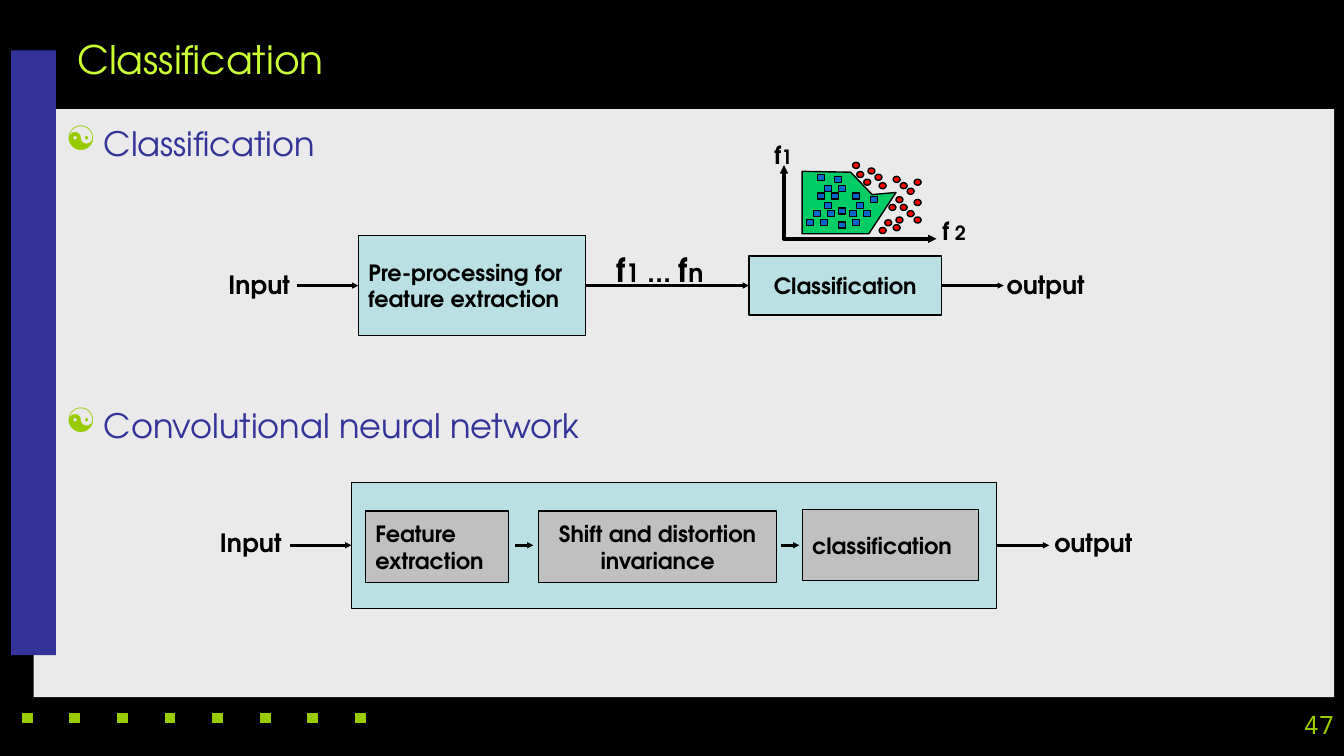
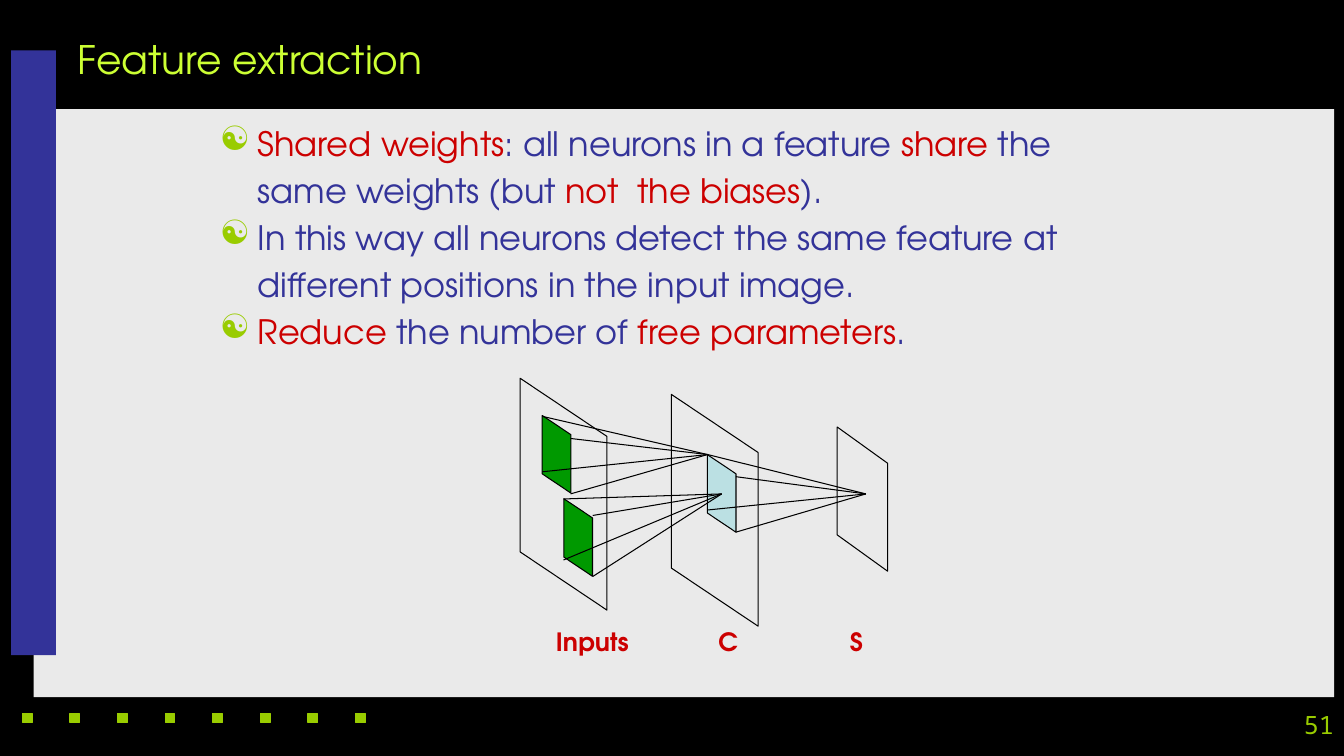
from lxml.etree import SubElement
from pptx import Presentation
from pptx.dml.color import RGBColor
from pptx.enum.shapes import MSO_CONNECTOR, MSO_SHAPE
from pptx.enum.text import MSO_ANCHOR, PP_ALIGN
from pptx.oxml.ns import qn
from pptx.util import Pt

FONT = "TeX Gyre Adventor"
BLACK, PANEL, INDIGO, LIME, YELLOW = "000000", "EAEAEA", "333399", "99CC00", "CCFF33"
RED, PALE, GREY, GREEN = "CC0000", "BBE0E3", "C0C0C0", "009900"
BODY = {"size": Pt(24), "color": INDIGO}
LABEL = {"size": Pt(18), "bold": True}
BOX = {"size": Pt(16), "bold": True}
HANG = 27

SQUARES = [
    (581, 150.5), (576, 157), (586, 157), (591, 150.5), (599, 158.5), (589, 144.5), (589, 132.5),
    (584, 138), (594, 138), (599, 132.5), (584, 124.5), (596, 126), (617, 150.5), (609, 157),
    (607, 150.5), (612, 144.5), (599, 148.5), (609, 138), (622, 140.5),
]
CIRCLES = [
    (632, 157), (638, 160.5), (635, 146), (653, 142.5), (640, 140.5), (620, 120), (625, 124.5),
    (628, 130.5), (617, 128), (628, 162.5), (638, 126), (643, 130.5), (648, 134.5), (612, 122.5),
    (653, 128), (643, 146), (648, 150.5), (653, 155), (640, 155), (609, 116),
]


def rgb(value):
    return RGBColor.from_string(value)


def write(p, text, color=BLACK, **fmt):
    r = p.add_run()
    r.text = text
    r.font.color.rgb = rgb(color)
    for name, value in ({"name": FONT} | fmt).items():
        setattr(r.font, name, value)


def paint(sp, fill=None, line=None, width=0.75):
    sp.shadow.inherit = False
    if fill:
        sp.fill.solid()
        sp.fill.fore_color.rgb = rgb(fill)
    else:
        sp.fill.background()
    if line:
        sp.line.color.rgb = rgb(line)
        sp.line.width = Pt(width)
    else:
        sp.line.fill.background()
    return sp


def shape(s, kind, x, y, w, h, fill=None, line=None, width=0.75):
    sp = s.shapes.add_shape(kind, Pt(x), Pt(y), Pt(w), Pt(h))
    return paint(sp, fill, line, width)


def box(s, x, y, w, h, fill, text="", align=PP_ALIGN.LEFT, width=0.75):
    sp = shape(s, MSO_SHAPE.RECTANGLE, x, y, w, h, fill, BLACK, width)
    if text:
        tf = sp.text_frame
        tf.word_wrap = True
        tf.vertical_anchor = MSO_ANCHOR.MIDDLE
        tf.paragraphs[0].alignment = align
        write(tf.paragraphs[0], text, **BOX)
    return sp


def text_box(s, x, y, w, h, wrap=True):
    tf = s.shapes.add_textbox(Pt(x), Pt(y), Pt(w), Pt(h)).text_frame
    tf.word_wrap = wrap
    return tf


def label(s, x, y, w, runs, h=29, wrap=True, color=BLACK):
    p = text_box(s, x, y, w, h, wrap).paragraphs[0]
    for text, fmt in runs:
        write(p, text, color, **(LABEL | fmt))


def bullets(s, x, y, w, h, items):
    tf = text_box(s, x, y, w, h)
    for i, (marked, gap, runs) in enumerate(items):
        p = tf.add_paragraph() if i else tf.paragraphs[0]
        pPr = p._p.get_or_add_pPr()
        pPr.set("marL", str(Pt(HANG)))
        pPr.set("indent", str(-Pt(HANG) if marked else 0))
        if marked:
            SubElement(SubElement(pPr, qn("a:buClr")), qn("a:srgbClr")).set("val", LIME)
            SubElement(pPr, qn("a:buChar")).set("char", "☯")
        else:
            SubElement(pPr, qn("a:buNone"))
        p.space_before = Pt(gap)
        for text, color in runs:
            write(p, text, **(BODY | {"color": color}))


def arrowheads(sp, *ends):
    for end in ends:
        head = SubElement(sp.line._get_or_add_ln(), qn(f"a:{end}"))
        for name, value in {"type": "triangle", "w": "sm", "len": "sm"}.items():
            head.set(name, value)


def line(s, start, end, width=0.75):
    c = s.shapes.add_connector(MSO_CONNECTOR.STRAIGHT, *map(Pt, start + end))
    c.line.color.rgb = rgb(BLACK)
    c.line.width = Pt(width)
    SubElement(c._element.spPr, qn("a:effectLst"))
    return c


def arrow(s, x1, x2, y, source=None, target=None):
    c = line(s, (x1, y), (x2, y), 2.25)
    arrowheads(c, "tailEnd")
    if source:
        c.begin_connect(source, 3)
    if target:
        c.end_connect(target, 1)


def outline(s, points, close, fill, width):
    first, *rest = [(Pt(x), Pt(y)) for x, y in points]
    builder = s.shapes.build_freeform(*first)
    builder.add_line_segments(rest, close=close)
    return paint(builder.convert_to_shape(), fill, BLACK, width)


def pane(s, cx, cy, length, depth, skew, fill=None):
    sp = shape(s, MSO_SHAPE.PARALLELOGRAM, cx - length / 2, cy - depth / 2, length, depth, fill, BLACK)
    sp.adjustments[0] = skew
    sp.rotation = 90


def rays(s, x, y, target, depth=20.2, drop=15.8, height=55.4):
    for dx, dy in ((0, 0), (0, height - drop), (depth, height), (depth, drop)):
        line(s, (x + dx, y + dy), target)


def new_slide(prs, title, number):
    s = prs.slides.add_slide(prs.slide_layouts[5])
    shape(s, MSO_SHAPE.RECTANGLE, 24, 78, 929, 420, PANEL)
    shape(s, MSO_SHAPE.RECTANGLE, 8, 36, 32, 432, INDIGO)
    for i in range(8):
        shape(s, MSO_SHAPE.RECTANGLE, 16 + 34 * i, 510, 7, 6, LIME, LIME)
    p = text_box(s, 736, 503, 224, 37).paragraphs[0]
    p.alignment = PP_ALIGN.RIGHT
    write(p, number, LIME, name="Noto Sans Mono", size=Pt(18))
    sp = s.shapes.title
    sp.left, sp.top, sp.width, sp.height = map(Pt, (48, 18, 896, 48))
    tf = sp.text_frame
    tf.vertical_anchor = MSO_ANCHOR.MIDDLE
    tf.paragraphs[0].alignment = PP_ALIGN.LEFT
    write(tf.paragraphs[0], title, YELLOW, size=Pt(28))
    return s


def feature_plot(s):
    region = [(573, 122.4), (607.7, 123), (623, 139), (640, 137.5), (620.6, 167), (573, 167)]
    outline(s, region, True, "00CC66", 1)
    for kind, fill, points in ((MSO_SHAPE.RECTANGLE, "0066CC", SQUARES),
                               (MSO_SHAPE.OVAL, "FF0000", CIRCLES)):
        for x, y in points:
            shape(s, kind, x, y, 5, 4.3, fill, BLACK, 1)
    axes = outline(s, [(560, 118), (560, 170.6), (669, 170.6)], False, None, 3)
    arrowheads(axes, "headEnd", "tailEnd")
    small = {"size": Pt(14)}
    label(s, 546, 96, 32, [("f", {}), ("1", small)], wrap=False)
    label(s, 666, 150, 34, [("f", {}), (" 2", small)], wrap=False)


def classification_slide(prs):
    s = new_slide(prs, "Classification", "47")
    bullets(s, 40, 84, 904, 408, [
        (True, 0, [("Classification", INDIGO)]),
        (True, 172.8, [("Convolutional neural network", INDIGO)]),
    ])
    pre = box(s, 256, 168, 162, 72, PALE, "Pre-processing for feature extraction")
    classifier = box(s, 535, 183, 137.5, 42, PALE, "Classification", PP_ALIGN.CENTER, 1)
    arrow(s, 212, 256, 204, target=pre)
    arrow(s, 418, 535, 204, pre, classifier)
    arrow(s, 672.5, 717, 204, classifier)
    label(s, 156, 189, 63, [("Input", {})])
    big = {"size": Pt(24)}
    label(s, 433, 174, 87, [("f", big), ("1 ", {}), ("… ", {"name": "Arial"}), ("f", big), ("n", {})], 36)
    label(s, 712, 189, 80, [("output", {})])
    feature_plot(s)

    network = box(s, 251, 344.5, 461, 90, PALE, width=1)
    box(s, 261, 365, 102, 51, GREY, "Feature extraction")
    box(s, 384.5, 365, 170.5, 51, GREY, "Shift and distortion invariance", PP_ALIGN.CENTER)
    box(s, 573, 364, 126, 51, GREY, "classification")
    arrow(s, 207, 251, 389.5, target=network)
    arrow(s, 368, 381, 389.5)
    arrow(s, 558, 571, 389.5)
    arrow(s, 712, 749.5, 389.5, network)
    label(s, 150, 373, 63, [("Input", {})])
    label(s, 746, 373, 77, [("output", {})])


def extraction_slide(prs):
    s = new_slide(prs, "Feature extraction", "51")
    pane(s, 402.5, 353, 165.6, 62, 0.67)
    pane(s, 510.5, 364.5, 165.6, 62, 0.67)
    pane(s, 616, 356.5, 103, 36, 0.72)
    for cx, cy, fill in ((397.5, 324.5, GREEN), (413, 384, GREEN), (515.5, 352.5, PALE)):
        pane(s, cx, cy, 55.4, 20.4, 0.67, fill)
    rays(s, 387.4, 297.4, (505.5, 324.7))
    rays(s, 402.5, 356.4, (515.5, 352.8), 20.9, 11.8)
    rays(s, 505.5, 324.7, (618.5, 352.8))
    for x, w, text in ((390, 67, "Inputs"), (506, 29, "C"), (600, 24, "S")):
        label(s, x, 444, w, [(text, {})], wrap=False, color=RED)
    bullets(s, 150, 84, 678, 402, [
        (True, 0, [("Shared weights", RED), (": all neurons in a feature ", INDIGO),
                   ("share", RED), (" the", INDIGO)]),
        (False, 4.8, [("same weights (but ", INDIGO), ("not  the biases", RED), (").", INDIGO)]),
        (True, 4.8, [("In this way all neurons detect the same feature at", INDIGO)]),
        (False, 4.8, [("different positions in the input image.", INDIGO)]),
        (True, 4.8, [("Reduce", RED), (" the number of ", INDIGO),
                     ("free parameters", RED), (".", INDIGO)]),
    ])


def main():
    prs = Presentation()
    prs.slide_width, prs.slide_height = Pt(960), Pt(540)
    fill = prs.slide_master.background.fill
    fill.solid()
    fill.fore_color.rgb = rgb(BLACK)
    classification_slide(prs)
    extraction_slide(prs)
    prs.save("out.pptx")


if __name__ == "__main__":
    main()
